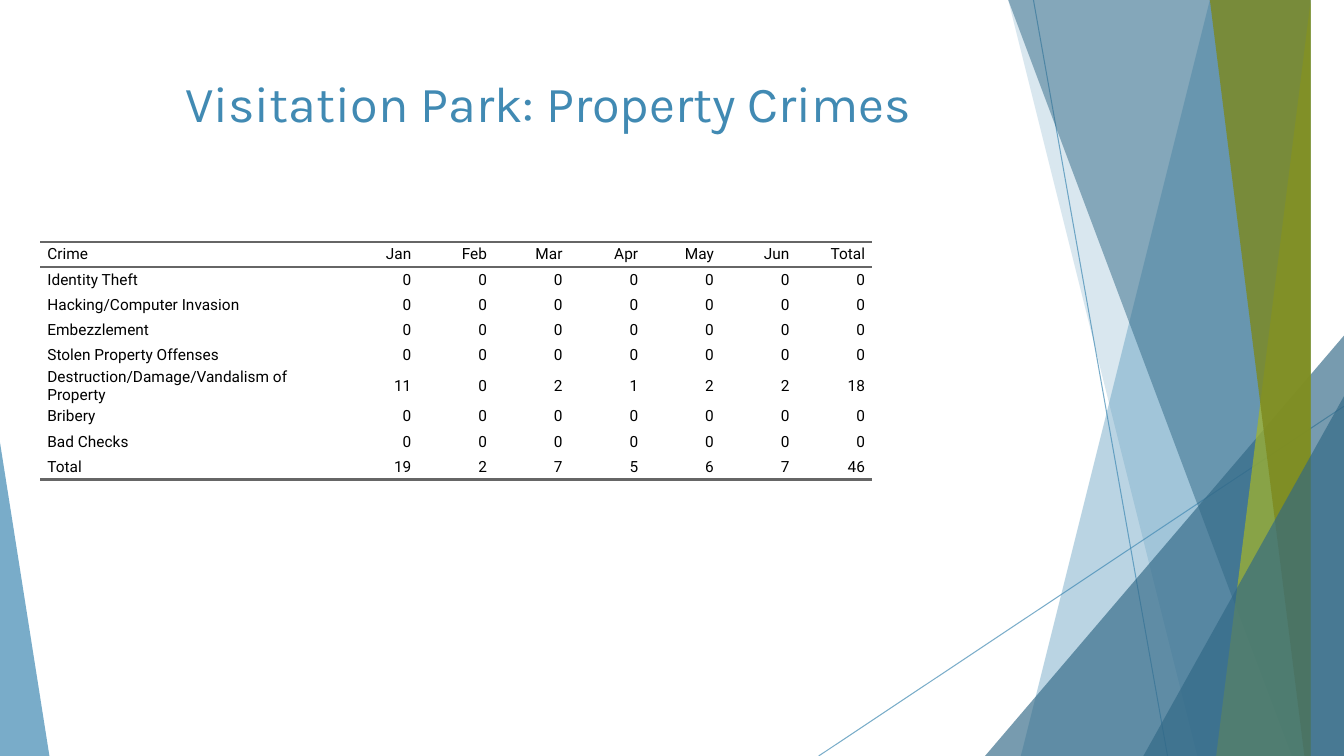
import pptx
import pptx.dml.color
import pptx.enum.shapes
import pptx.enum.text
import pptx.oxml.ns
import pptx.util
from lxml import etree

Inches = pptx.util.Inches
Pt = pptx.util.Pt
qn = pptx.oxml.ns.qn


def color(hex_code):
    return pptx.dml.color.RGBColor.from_string(hex_code)


def set_opacity(properties, percent):
    tint = properties.find(".//" + qn("a:srgbClr"))
    etree.SubElement(tint, qn("a:alpha"), val=str(percent * 1000))


BLUE, DARK_BLUE, LIME, OLIVE = "418AB3", "316886", "A6B727", "7D891D"
WIDTH, HEIGHT, TOP = 13.33, 7.5, -0.01

deck = pptx.Presentation()
deck.slide_width = Inches(WIDTH)
deck.slide_height = Inches(HEIGHT)
slide = deck.slides.add_slide(deck.slide_layouts[6])

for start_x, start_y, end_x in [(10.25, 0, 11.58), (WIDTH, 4.03, 8.12)]:
    ray = slide.shapes.add_connector(
        pptx.enum.shapes.MSO_CONNECTOR.STRAIGHT,
        Inches(start_x), Inches(start_y), Inches(end_x), Inches(HEIGHT))
    ray.line.color.rgb = color(BLUE)
    ray.line.width = Pt(0.75)
    ray_properties = ray.line._get_or_add_ln().getparent()
    set_opacity(ray_properties, 70)
    etree.SubElement(ray_properties, qn("a:effectLst"))

facets = [
    ("band", (12.28, 10.04), BLUE, 36),
    ("band", (10.5, 11.83), BLUE, 20),
    ("triangle", (9.77, 3.33, 3.56, 1), DARK_BLUE, 66),
    ("band", (10.21, 12.91), DARK_BLUE, 50),
    ("band", (13.03, 11.92), LIME, 70),
    ("band", (11.96, 13.18), OLIVE, 80),
    ("triangle", (11.34, 3.93, 1.99, 1), DARK_BLUE, 66),
    ("triangle", (0, 4.39, 0.49, 0), BLUE, 70),
]
for outline, geometry, tint, opacity in facets:
    if outline == "band":
        top_x, bottom_x = geometry
        edge = slide.shapes.build_freeform(top_x, TOP, scale=Inches(1))
        edge.add_line_segments(
            [(WIDTH, TOP), (WIDTH, HEIGHT), (bottom_x, HEIGHT)], close=True)
        facet = edge.convert_to_shape()
    else:
        left, top, width, apex = geometry
        facet = slide.shapes.add_shape(
            pptx.enum.shapes.MSO_SHAPE.ISOSCELES_TRIANGLE,
            Inches(left), Inches(top), Inches(width), Inches(HEIGHT - top))
        facet.adjustments[0] = apex
    facet.shadow.inherit = False
    facet.fill.solid()
    facet.fill.fore_color.rgb = color(tint)
    set_opacity(facet._element.spPr, opacity)
    facet.line.fill.background()

crimes = [
    ("Crime", "Jan", "Feb", "Mar", "Apr", "May", "Jun", "Total"),
    ("Identity Theft", 0, 0, 0, 0, 0, 0, 0),
    ("Hacking/Computer Invasion", 0, 0, 0, 0, 0, 0, 0),
    ("Embezzlement", 0, 0, 0, 0, 0, 0, 0),
    ("Stolen Property Offenses", 0, 0, 0, 0, 0, 0, 0),
    ("Destruction/Damage/Vandalism of Property", 11, 0, 2, 1, 2, 2, 18),
    ("Bribery", 0, 0, 0, 0, 0, 0, 0),
    ("Bad Checks", 0, 0, 0, 0, 0, 0, 0),
    ("Total", 19, 2, 7, 5, 6, 7, 46),
]
last_row = len(crimes) - 1
crime_table = slide.shapes.add_table(
    len(crimes), len(crimes[0]), Inches(0.4), Inches(2.4),
    Inches(8.25), Inches(0.25 * len(crimes))).table
crime_table.first_row = False
crime_table.horz_banding = False
style_id = crime_table._tbl.tblPr.find(qn("a:tableStyleId"))
style_id.text = "{2D5ABB26-0587-4C30-8999-92F81FD0307C}"
for index, column in enumerate(crime_table.columns):
    column.width = Inches(0.75 if index else 3)

for row, entries in enumerate(crimes):
    rules = {0: ("a:lnT", "a:lnB"), last_row: ("a:lnB",)}.get(row, ())
    for index, entry in enumerate(entries):
        cell = crime_table.cell(row, index)
        cell.text = str(entry)
        cell.vertical_anchor = pptx.enum.text.MSO_ANCHOR.MIDDLE
        cell.margin_left = cell.margin_right = 0
        cell.margin_top = cell.margin_bottom = 0
        paragraph = cell.text_frame.paragraphs[0]
        paragraph.alignment = (pptx.enum.text.PP_ALIGN.RIGHT if index
                               else pptx.enum.text.PP_ALIGN.LEFT)
        paragraph.space_after = Pt(5)
        indents = paragraph._p.get_or_add_pPr()
        indents.set("marL", str(Inches(0.07)))
        indents.set("marR", str(Inches(0.07)))
        paragraph.font.name = "Roboto"
        paragraph.font.size = Pt(11)
        paragraph.font.color.rgb = color("000000")
        for side in rules:
            rule = etree.SubElement(
                cell._tc.get_or_add_tcPr(), qn(side), w=str(Pt(2)))
            rule_fill = etree.SubElement(rule, qn("a:solidFill"))
            etree.SubElement(rule_fill, qn("a:srgbClr"), val="666666")
        cell.fill.background()

title = slide.shapes.add_textbox(
    Inches(0.74), Inches(0.67), Inches(9.4), Inches(1.44)).text_frame
title.word_wrap = True
title.text = "Visitation Park: Property Crimes"
heading = title.paragraphs[0]
heading.alignment = pptx.enum.text.PP_ALIGN.CENTER
heading.font.name = "Karla"
heading.font.size = Pt(36)
heading.font.color.rgb = color(BLUE)

deck.save("out.pptx")
